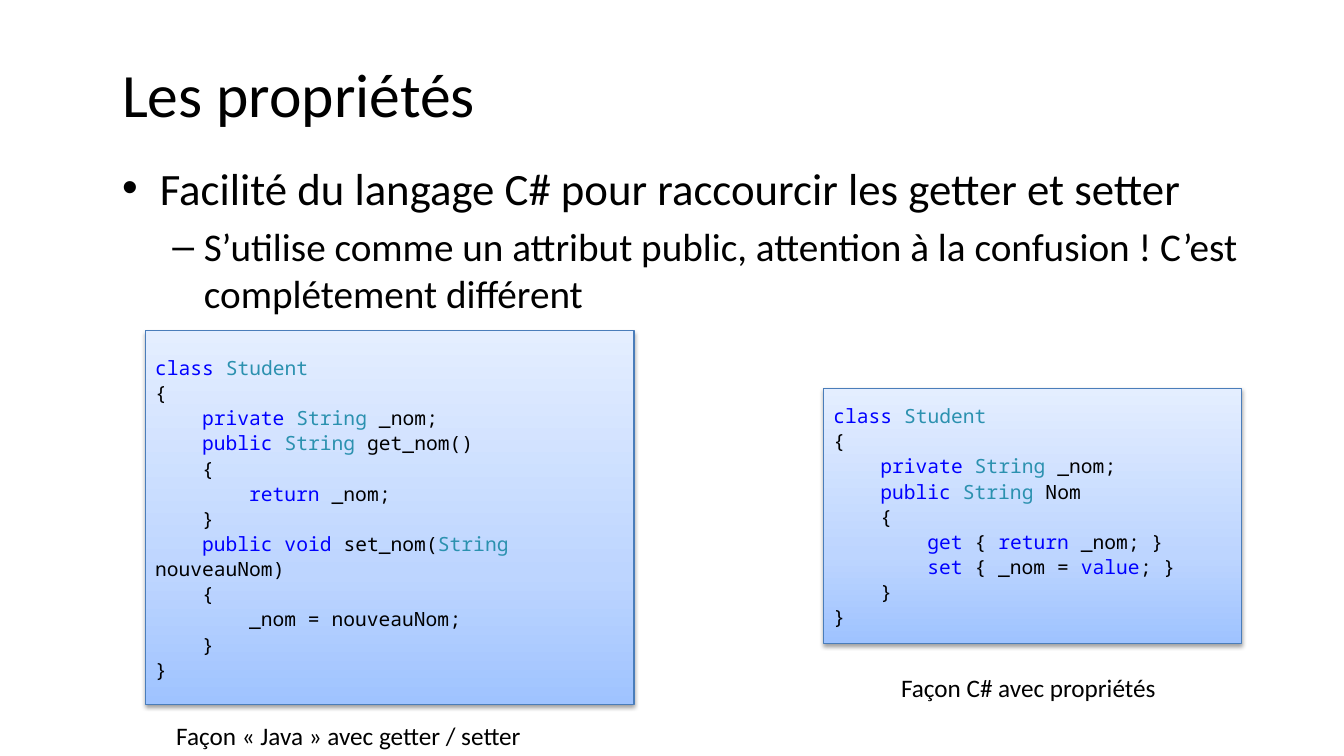
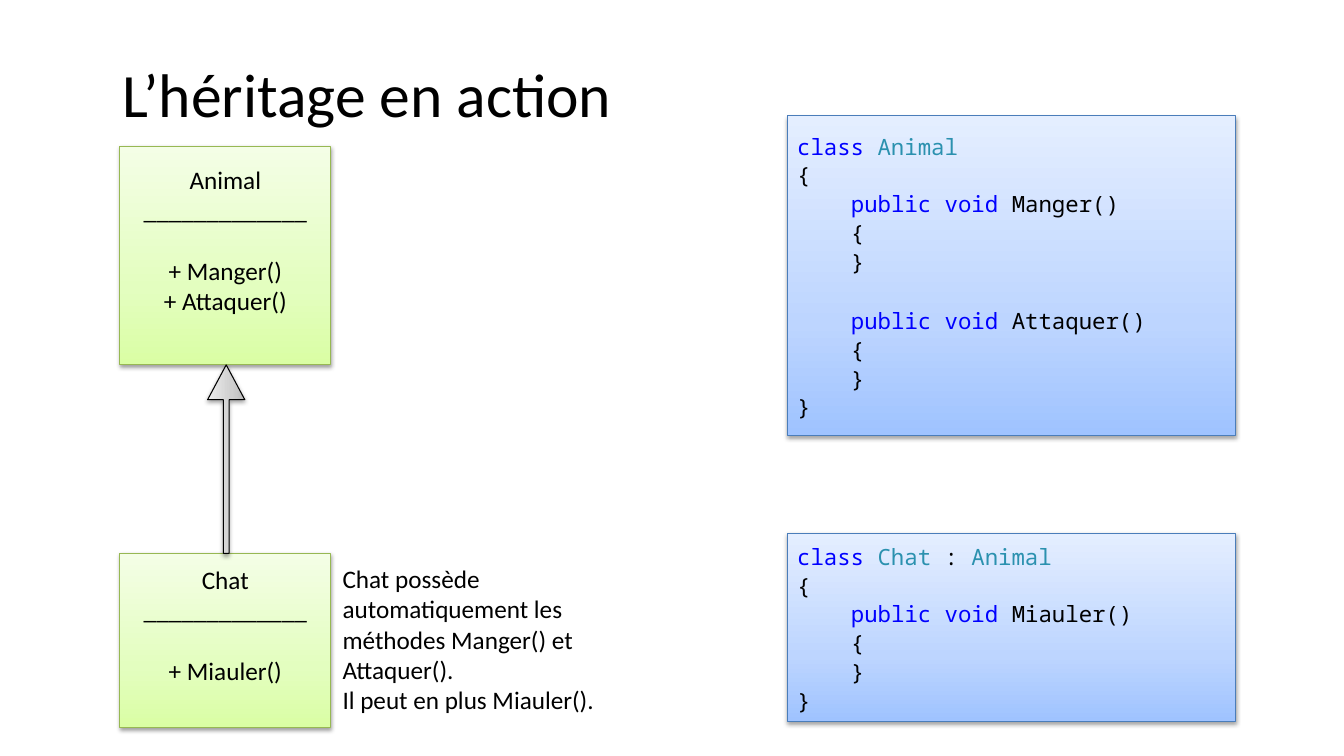
from itertools import groupby
from pptx import Presentation
from pptx.dml.color import RGBColor
from pptx.enum import shapes as es, text as et
from pptx.oxml import parse_xml
from pptx.oxml.ns import nsdecls
from pptx.util import Pt

HUES = {"ink": "000000", "key": "0000FF", "type": "2B91AF"}
LOOKS = {
    "code": ("4A7DBA", ["9FC3FF", "BDD5FF", "E4EEFF"]),
    "uml": ("97B853", ["DAFEA4", "E3FEBF", "F4FEE6"]),
    "arrow": ("000000", ["BABABA", "CFCFCF", "EDEDED"]),
}
KINDS = {
    "key": "class private public return void get set value".split(),
    "type": "Student String Animal Chat".split(),
}
BLANK = 22


def style(run, size, face="Calibri", hue="ink"):
    run.font.size = Pt(size)
    run.font.name = face
    run.font.color.rgb = RGBColor.from_string(HUES[hue])


def panel(slide, look, box, form=es.MSO_SHAPE.RECTANGLE):
    edge, tones = LOOKS[look]
    shape = slide.shapes.add_shape(form, *map(Pt, box))
    stops = "".join(
        f'<a:gs pos="{pos}"><a:srgbClr val="{tone}"/></a:gs>'
        for pos, tone in zip((0, 35000, 100000), tones))
    props = shape._element.spPr
    props.append(parse_xml(
        f'<a:gradFill {nsdecls("a")} rotWithShape="1"><a:gsLst>{stops}</a:gsLst>'
        '<a:lin ang="16200000" scaled="0"/></a:gradFill>'))
    shape.line.color.rgb = RGBColor.from_string(edge)
    shape.line.width = Pt(0.75)
    props.append(parse_xml(
        f'<a:effectLst {nsdecls("a")}><a:outerShdw blurRad="{Pt(3.1)}" dist="{Pt(1.6)}" '
        'dir="5400000" rotWithShape="0"><a:srgbClr val="000000">'
        '<a:alpha val="37000"/></a:srgbClr></a:outerShdw></a:effectLst>'))
    frame = shape.text_frame
    frame.word_wrap = True
    frame.vertical_anchor = et.MSO_ANCHOR.MIDDLE
    return shape


deck = Presentation()
deck.slide_width, deck.slide_height = Pt(960), Pt(540)

pages = []
for title, layout in (("Les propriétés", 1), ("L’héritage en action", 5)):
    slide = deck.slides.add_slide(deck.slide_layouts[layout])
    head = slide.shapes.title
    head.left, head.top, head.width, head.height = map(Pt, (80, 21, 848, 90))
    head.text_frame.text = title
    head.text_frame.vertical_anchor = et.MSO_ANCHOR.MIDDLE
    para = head.text_frame.paragraphs[0]
    para.alignment = et.PP_ALIGN.LEFT
    style(para.runs[0], 44)
    pages.append(slide)
props, heirs = pages

body = props.placeholders[1]
body.left, body.top, body.width, body.height = map(Pt, (80, 111, 848, 353))
body.text_frame.text = (
    "Facilité du langage C# pour raccourcir les getter et setter\n"
    "S’utilise comme un attribut public, attention à la confusion ! C’est complétement différent")
for level, (para, size) in enumerate(zip(body.text_frame.paragraphs, (32, 28))):
    para.level = level
    style(para.runs[0], size)

umls = [
    ((85.7, 104.4, 150.5, 156.2), "Animal", ["+ Manger()", "+ Attaquer()"]),
    ((85.7, 395.3, 150.5, 124.6), "Chat", ["+ Miauler()"]),
]
for box, name, calls in umls:
    frame = panel(heirs, "uml", box).text_frame
    frame.margin_bottom = Pt(3.6 + BLANK)
    frame.text = "\n".join([name, "_" * 13, *calls])
    for para in frame.paragraphs:
        para.alignment = et.PP_ALIGN.CENTER
        style(para.runs[0], 18)
    frame.paragraphs[2].space_before = Pt(BLANK)

arrow = panel(heirs, "arrow", (94.3, 314.6, 134.6, 26.6), es.MSO_SHAPE.RIGHT_ARROW)
arrow.rotation = 270
arrow.adjustments[0], arrow.adjustments[1] = 0.155, 0.936

codes = [
    (props, (103.7, 236.2, 349.2, 267.1), 14, """class Student
{
    private String _nom;
    public String get_nom()
    {
        return _nom;
    }
    public void set_nom(String nouveauNom)
    {
        _nom = nouveauNom;
    }
}"""),
    (props, (588.2, 277.2, 298.8, 182.2), 14, """class Student
{
    private String _nom;
    public String Nom
    {
        get { return _nom; }
        set { _nom = value; }
    }
}"""),
    (heirs, (562.3, 82.8, 320.4, 228.2), 16, """class Animal
{
    public void Manger()
    {
    }

    public void Attaquer()
    {
    }
}"""),
    (heirs, (562.3, 380.9, 320.4, 134.6), 16, """class Chat : Animal
{
    public void Miauler()
    {
    }
}"""),
]
for slide, box, size, code in codes:
    frame = panel(slide, "code", box).text_frame
    para, gap = frame.paragraphs[0], 0
    for row, line in enumerate(code.split("\n")):
        if not line:
            gap = BLANK
            continue
        if row:
            para = frame.add_paragraph()
        para.alignment = et.PP_ALIGN.LEFT
        para.line_spacing = 1.07
        para.space_before = Pt(gap)
        gap = 0
        bare = line.lstrip()
        inset = (len(line) - len(bare)) * size * 0.6
        para._p.get_or_add_pPr().set("marL", "0")
        para._p.get_or_add_pPr().set("indent", str(Pt(inset)))
        parts = []
        for _, chars in groupby(bare, lambda c: c.isalnum() or c == "_"):
            word = "".join(chars)
            hue = next((kind for kind, words in KINDS.items() if word in words), "ink")
            if parts and (word == " " or hue == parts[-1][0]):
                parts[-1][1] += word
            else:
                parts.append([hue, word])
        for hue, words in parts:
            run = para.add_run()
            run.text = words
            style(run, size, "Noto Sans Mono", hue)

notes = [
    (props, (118.8, 511.2, 268.6, 28.8), "Façon « Java » avec getter / setter"),
    (props, (636.5, 476.6, 202.3, 29.5), "Façon C# avec propriétés"),
    (heirs, (237.6, 398.9, 213.8, 116.6),
     "Chat possède automatiquement les méthodes Manger() et Attaquer().\n"
     "Il peut en plus Miauler()."),
]
for slide, box, words in notes:
    frame = slide.shapes.add_textbox(*map(Pt, box)).text_frame
    frame.word_wrap = True
    frame.text = words
    for para in frame.paragraphs:
        style(para.runs[0], 18)

deck.save("out.pptx")
